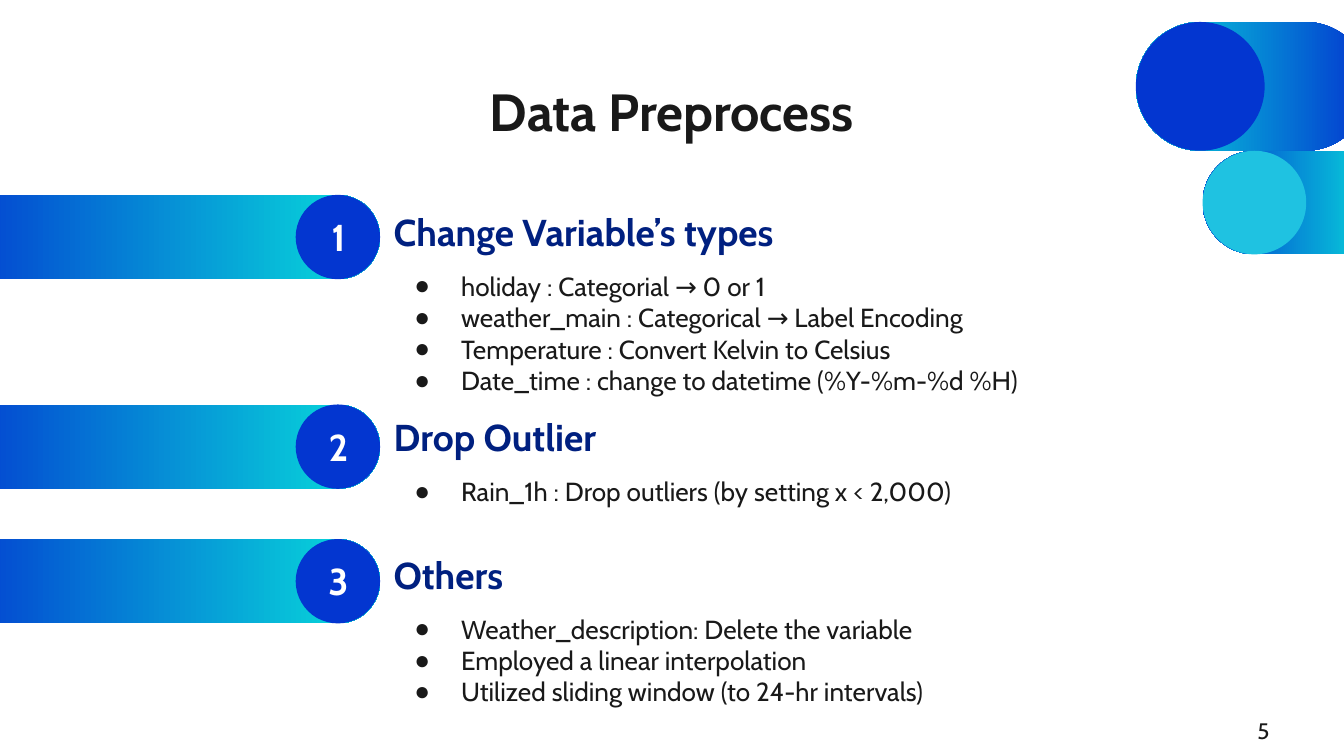
from dataclasses import dataclass

import lxml.etree
import pptx
import pptx.dml.color
import pptx.enum.shapes
import pptx.enum.text
import pptx.oxml.ns
import pptx.shapes.base
import pptx.slide
import pptx.text.text
import pptx.util

Pt = pptx.util.Pt
RGBColor = pptx.dml.color.RGBColor
Shapes = pptx.enum.shapes.MSO_SHAPE
Align = pptx.enum.text.PP_ALIGN
Anchor = pptx.enum.text.MSO_ANCHOR

BLUE = RGBColor(0x03, 0x36, 0xD0)
CYAN = RGBColor(0x08, 0xE0, 0xDB)
SKY = RGBColor(0x1F, 0xC2, 0xE1)
NAVY = RGBColor(0x00, 0x20, 0x80)
INK = RGBColor(0x19, 0x19, 0x19)
WHITE = RGBColor(0xFF, 0xFF, 0xFF)

FONT = "Cabin"
TEXT_LEFT = 203.8
TEXT_WIDTH = 430
HEADING_HEIGHT = 41.8
LIST_OFFSET = 36
INSET = 7.2


@dataclass(frozen=True)
class Box:
    left: float
    top: float
    width: float
    height: float


@dataclass(frozen=True)
class TextStyle:
    size: float
    color: RGBColor
    bold: bool = False
    align: Align = Align.LEFT
    anchor: Anchor = Anchor.TOP
    line_spacing: float = 1.0
    bulleted: bool = False


@dataclass(frozen=True)
class Capsule:
    box: Box
    start: RGBColor
    end: RGBColor
    angle: float
    circle_left: float
    circle_color: RGBColor


@dataclass(frozen=True)
class Section:
    bar_top: float
    heading_top: float
    list_height: float
    placeholder: int
    heading: str
    items: tuple[str, ...]


TITLE_STYLE = TextStyle(28, INK, True, Align.CENTER)
HEADING_STYLE = TextStyle(20, NAVY, True, anchor=Anchor.BOTTOM)
LIST_STYLE = TextStyle(14, INK, bulleted=True)
NUMBER_STYLE = TextStyle(20, WHITE, True, Align.CENTER)
PAGE_STYLE = TextStyle(12, INK, align=Align.CENTER, line_spacing=1.4)

SECTIONS = (
    Section(104.4, 101.5, 104.4, 2, "Change Variable’s types", (
        "holiday : Categorial → 0 or 1",
        "weather_main : Categorical → Label Encoding",
        "Temperature : Convert Kelvin to Celsius",
        "Date_time : change to datetime (%Y-%m-%d %H)",
    )),
    Section(216.7, 211.5, 51.1, 4, "Drop Outlier", (
        "Rain_1h : Drop outliers (by setting x < 2,000)",
    )),
    Section(288.8, 285.2, 51.1, 1, "Others", (
        "Weather_description: Delete the variable",
        "Employed a linear interpolation",
        "Utilized sliding window (to 24-hr intervals)",
    )),
)

CORNER_CAPSULES = (
    Capsule(Box(608.5, 11.8, 125.2, 69), BLUE, CYAN, 180, 608.5, BLUE),
    Capsule(Box(644.3, 80.8, 98.7, 55.5), CYAN, BLUE, 180, 644.3, SKY),
)


def place(shape: pptx.shapes.base.BaseShape, box: Box) -> None:
    shape.left, shape.top = Pt(box.left), Pt(box.top)
    shape.width, shape.height = Pt(box.width), Pt(box.height)


def add_bullet(paragraph: pptx.text.text._Paragraph) -> None:
    properties = paragraph._p.get_or_add_pPr()
    properties.set("marL", str(Pt(36)))
    properties.set("indent", str(-Pt(25)))
    color = lxml.etree.SubElement(properties, pptx.oxml.ns.qn("a:buClr"))
    lxml.etree.SubElement(color, pptx.oxml.ns.qn("a:srgbClr"), val=str(INK))
    lxml.etree.SubElement(properties, pptx.oxml.ns.qn("a:buChar"), char="●")


def write(shape: pptx.shapes.base.BaseShape, text: str, style: TextStyle) -> None:
    frame = shape.text_frame
    frame.text = text
    frame.word_wrap = True
    frame.auto_size = pptx.enum.text.MSO_AUTO_SIZE.NONE
    frame.vertical_anchor = style.anchor
    frame.margin_left = frame.margin_right = Pt(INSET)
    frame.margin_top = frame.margin_bottom = Pt(INSET)
    for paragraph in frame.paragraphs:
        paragraph.alignment = style.align
        paragraph.line_spacing = style.line_spacing
        paragraph.space_before = paragraph.space_after = Pt(0)
        if style.bulleted:
            add_bullet(paragraph)
        for run in paragraph.runs:
            run.font.name = FONT
            run.font.size = Pt(style.size)
            run.font.bold = style.bold
            run.font.color.rgb = style.color


def add_text(slide: pptx.slide.Slide, box: Box, text: str, style: TextStyle) -> None:
    shape = slide.shapes.add_textbox(0, 0, 0, 0)
    place(shape, box)
    write(shape, text, style)


def add_plain_shape(slide: pptx.slide.Slide, kind: Shapes, box: Box) -> pptx.shapes.base.BaseShape:
    shape = slide.shapes.add_shape(kind, 0, 0, 0, 0)
    place(shape, box)
    shape.shadow.inherit = False
    shape.line.fill.background()
    return shape


def add_capsule(slide: pptx.slide.Slide, capsule: Capsule) -> None:
    body = add_plain_shape(slide, Shapes.ROUNDED_RECTANGLE, capsule.box)
    body.adjustments[0] = 0.5
    body.fill.gradient()
    body.fill.gradient_angle = capsule.angle
    for stop, color in zip(body.fill.gradient_stops, (capsule.start, capsule.end)):
        stop.color.rgb = color
    diameter = capsule.box.height
    circle_box = Box(capsule.circle_left, capsule.box.top, diameter, diameter)
    circle = add_plain_shape(slide, Shapes.OVAL, circle_box)
    circle.fill.solid()
    circle.fill.fore_color.rgb = capsule.circle_color


def add_section(slide: pptx.slide.Slide, number: int, section: Section) -> None:
    bar = Box(-36, section.bar_top, 239.6, 45.2)
    add_capsule(slide, Capsule(bar, BLUE, CYAN, 0, 158.4, BLUE))
    add_text(slide, Box(164, section.bar_top + 3.1, 34.6, 39), str(number), NUMBER_STYLE)
    heading_box = Box(TEXT_LEFT, section.heading_top, TEXT_WIDTH, HEADING_HEIGHT)
    add_text(slide, heading_box, section.heading, HEADING_STYLE)
    list_top = section.heading_top + LIST_OFFSET
    placeholder = slide.placeholders[section.placeholder]
    place(placeholder, Box(TEXT_LEFT, list_top, TEXT_WIDTH, section.list_height))
    write(placeholder, "\n".join(section.items), LIST_STYLE)


def main() -> None:
    presentation = pptx.Presentation()
    presentation.slide_width, presentation.slide_height = Pt(720), Pt(405)
    layout = presentation.slide_layouts.get_by_name("Comparison")
    slide = presentation.slides.add_slide(layout)
    place(slide.shapes.title, Box(56.7, 35.2, 606.6, 45.1))
    write(slide.shapes.title, "Data Preprocess", TITLE_STYLE)
    for number, section in enumerate(SECTIONS, 1):
        add_section(slide, number, section)
    for capsule in CORNER_CAPSULES:
        add_capsule(slide, capsule)
    add_text(slide, Box(654.5, 371.5, 44.6, 28.8), "5", PAGE_STYLE)
    unused = slide.placeholders[3].element
    unused.getparent().remove(unused)
    presentation.save("out.pptx")


if __name__ == "__main__":
    main()
